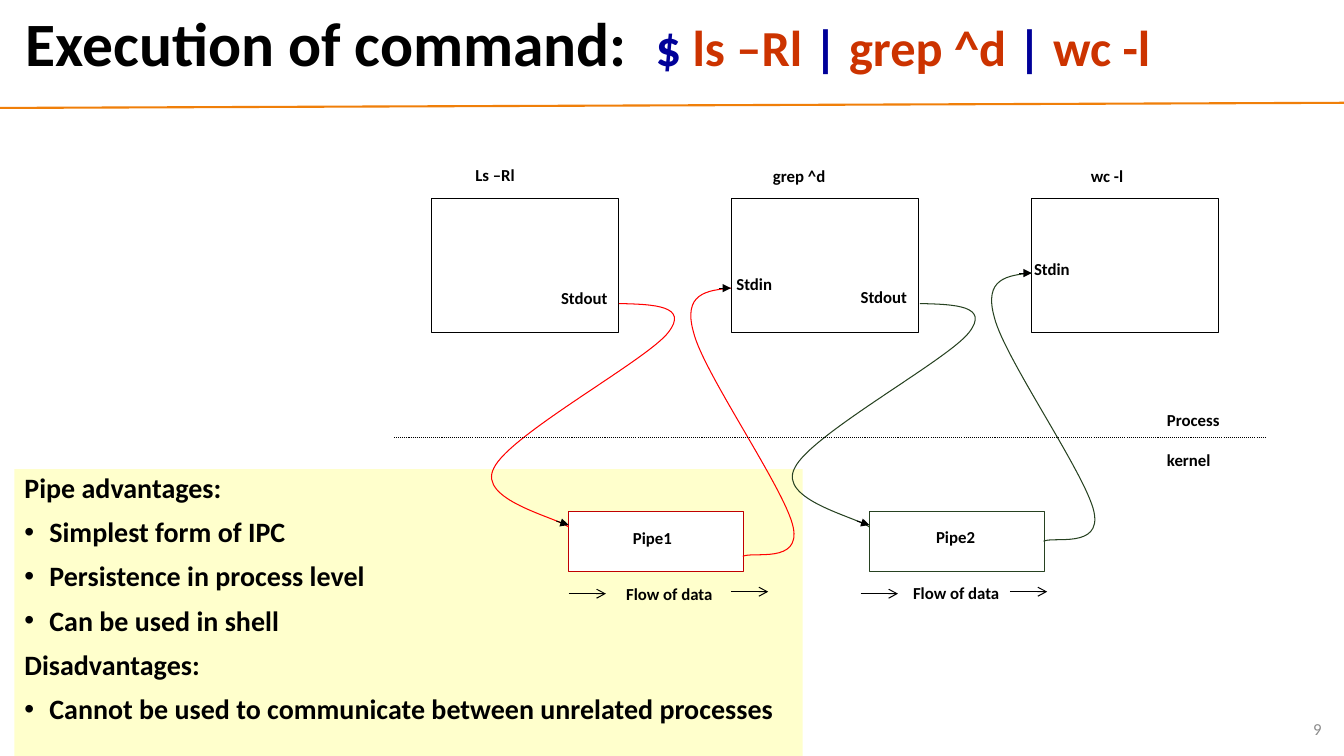
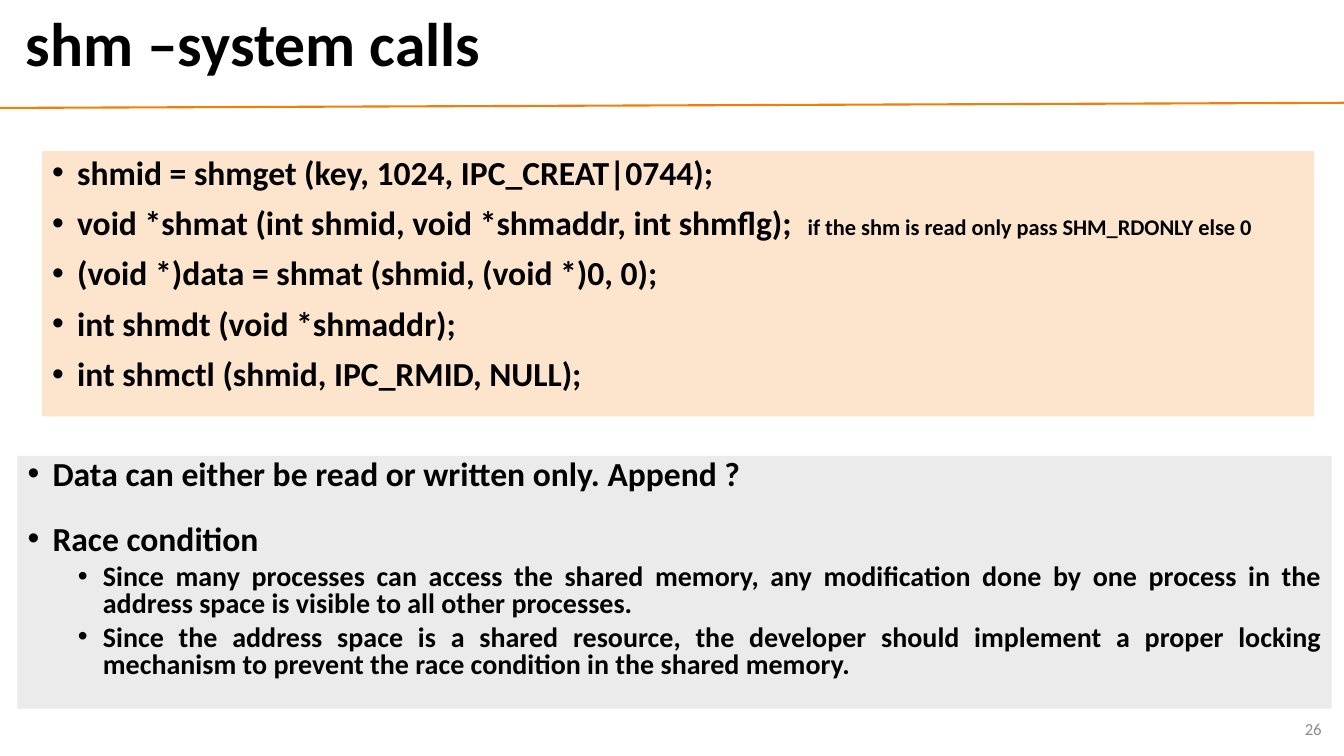
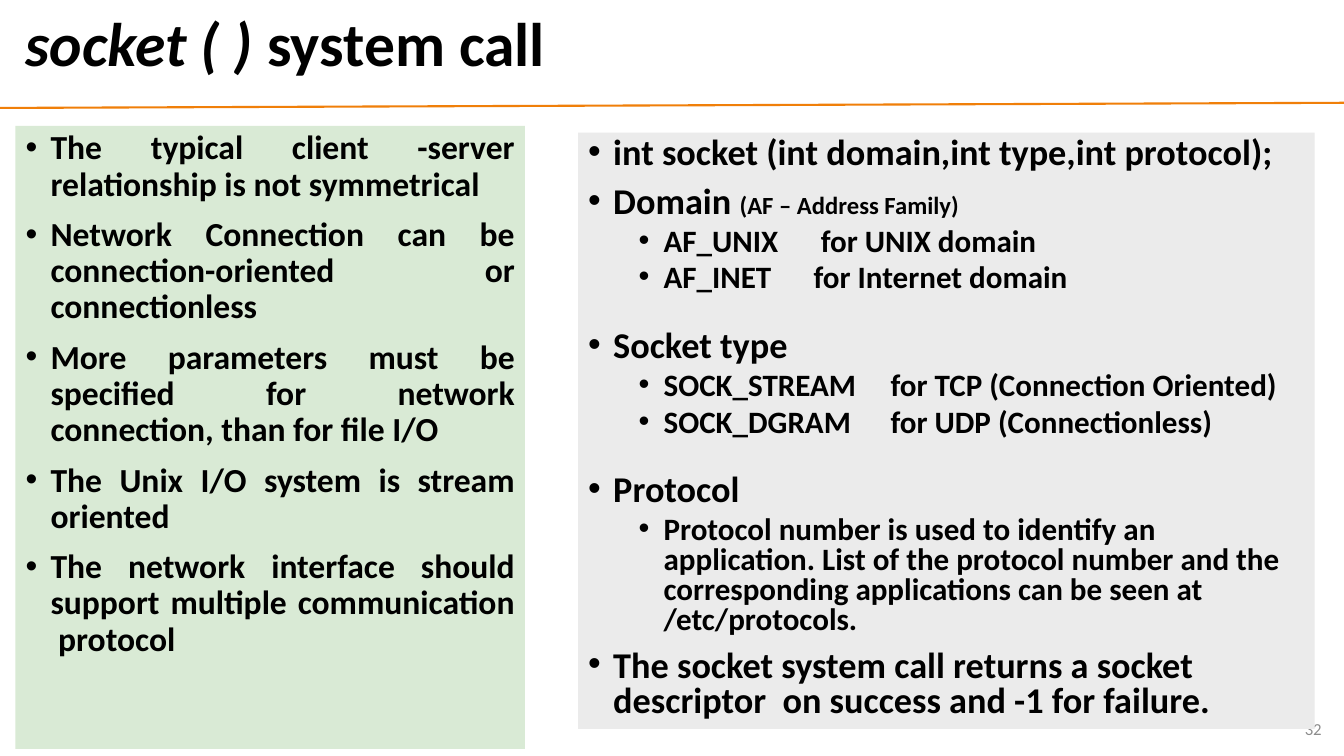
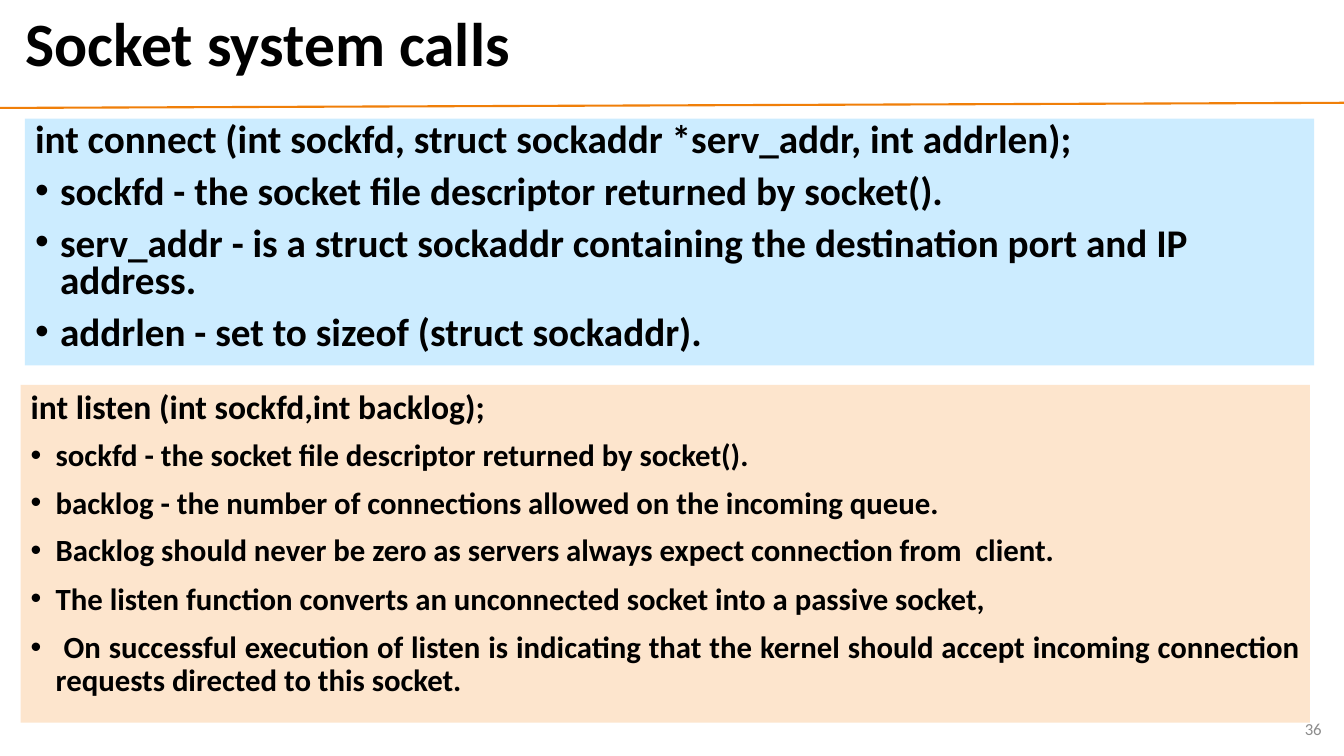
"""Build four slides on pipes, shared memory and socket system calls."""
from lxml import etree
from pptx import Presentation
from pptx.dml.color import RGBColor
from pptx.enum.dml import MSO_LINE
from pptx.enum.shapes import MSO_CONNECTOR, MSO_SHAPE
from pptx.enum.text import MSO_ANCHOR, MSO_AUTO_SIZE, PP_ALIGN
from pptx.oxml.ns import qn
from pptx.util import Cm, Pt

LEFT, RIGHT, JUSTIFY = PP_ALIGN.LEFT, PP_ALIGN.RIGHT, PP_ALIGN.JUSTIFY
MIDDLE, NO_FIT = MSO_ANCHOR.MIDDLE, MSO_AUTO_SIZE.NONE
STRAIGHT, RECTANGLE, DOTTED = MSO_CONNECTOR.STRAIGHT, MSO_SHAPE.RECTANGLE, MSO_LINE.ROUND_DOT

FONT = "Calibri"
COLORS = {
    "black": "000000", "white": "FFFFFF", "grey": "8C8C8C", "orange": "F07F09",
    "navy": "000099", "rust": "CC3300", "red": "FF0000", "dark red": "C00000",
    "dark green": "274221", "yellow panel": "FFFFCC", "peach panel": "FDE5CD",
    "grey panel": "EBEBEB", "green panel": "D9EAD5", "blue panel": "CCECFF",
}
RGB = {name: RGBColor.from_string(value) for name, value in COLORS.items()}
SLIDE_WIDTH, SLIDE_HEIGHT = 33.87, 19.05
TITLE_BOX = (0.39, 0.13, 32.74, 2.11)
PAGE_BOX = (25.94, 17.86, 7.62, 1.02)
INDENT = 0.63
SUB_INDENT = 1.9

ITEM = {"level": 0, "bullet": True, "before": 10, "align": LEFT, "tab": None, "note": None}
HEAD = {"bullet": False}
SUB = {"level": 1, "before": 5}
SUB_20 = {**SUB, "size": 20, "align": JUSTIFY}
SUB_22 = {**SUB, "size": 22.2}
SOCKET_TYPE = {**SUB_22, "tab": 7.62}

SLIDES = [
    {
        "page": "9",
        "title": [
            ("Execution of command:\t", 44, "black", {}),
            ("$ ", 36, "navy", {}), ("ls –Rl", 36, "rust", {}),
            (" | ", 36, "navy", {}), ("grep ^d", 36, "rust", {}),
            (" | ", 36, "navy", {}), ("wc -l", 36, "rust", {}),
        ],
        "panels": [{
            "box": (0.36, 11.82, 19.87, 7.23), "fill": "yellow panel", "spacing": 0.9,
            "style": {"size": 20, "align": JUSTIFY},
            "text": [
                ("Pipe advantages:", HEAD),
                ("Simplest form of IPC", {}),
                ("Persistence in process level", {}),
                ("Can be used in shell", {}),
                ("Disadvantages:", HEAD),
                ("Cannot be used to communicate between unrelated processes", {}),
            ],
        }],
    },
    {
        "page": "26",
        "title": [("shm –system calls", 44, "black", {})],
        "panels": [
            {
                "box": (1.06, 3.81, 32.05, 6.68), "fill": "peach panel", "spacing": 0.9,
                "style": {"size": 24},
                "text": [
                    ("shmid = shmget (key, 1024, IPC_CREAT|0744);", {}),
                    ("void *shmat (int shmid, void *shmaddr, int shmflg);\t",
                     {"tab": 19.04,
                      "note": ("if the shm is read only pass SHM_RDONLY else 0", 16)}),
                    ("(void *)data = shmat (shmid, (void *)0, 0);", {}),
                    ("int shmdt (void *shmaddr);", {}),
                    ("int shmctl (shmid, IPC_RMID, NULL);", {}),
                ],
            },
            {
                "box": (0.44, 11.49, 33.12, 6.37), "fill": "grey panel", "spacing": 0.8,
                "style": {"size": 24, "before": 23.4},
                "text": [
                    ("Data can either be read or written only. Append ?", {}),
                    ("Race condition", {}),
                    ("Since many processes can access the shared memory, any modification "
                     "done by one process in the address space is visible to all other "
                     "processes.", SUB_20),
                    ("Since the address space is a shared resource, the developer should "
                     "implement a proper locking mechanism to prevent the race condition "
                     "in the shared memory.", SUB_20),
                ],
            },
        ],
    },
    {
        "page": "32",
        "title": [("socket ( ) ", 44, "black", {"italic": True}),
                  ("system call", 44, "black", {})],
        "panels": [
            {
                "box": (0.39, 3.17, 12.84, 15.7), "fill": "green panel", "spacing": 0.9,
                "style": {"size": 24, "align": JUSTIFY},
                "text": [
                    ("The typical client -server relationship is not symmetrical", {}),
                    ("Network Connection can be connection-oriented or connectionless", {}),
                    ("More parameters must be specified for network connection, "
                     "than for file I/O", {}),
                    ("The Unix I/O system is stream oriented", {}),
                    ("The network interface should support multiple communication  "
                     "protocol", {}),
                ],
            },
            {
                "box": (14.57, 3.34, 18.56, 15.03), "fill": "grey panel", "spacing": 0.8,
                "style": {"size": 25.9},
                "text": [
                    ("int socket (int domain,int type,int protocol);", {}),
                    ("Domain ", {"note": ("(AF – Address Family)", 17.6)}),
                    ("AF_UNIX\tfor UNIX domain", {**SUB_22, "tab": 5.86}),
                    ("AF_INET\tfor Internet domain", {**SUB_22, "tab": 5.68}),
                    ("Socket type", {"before": 25.6}),
                    ("SOCK_STREAM\tfor TCP (Connection Oriented)", SOCKET_TYPE),
                    ("SOCK_DGRAM\tfor UDP (Connectionless)", SOCKET_TYPE),
                    ("Protocol", {"before": 25.6}),
                    ("Protocol number is used to identify an application. List of the "
                     "protocol number and the corresponding applications can be seen at "
                     "/etc/protocols.", SUB_22),
                    ("The socket system call returns a socket descriptor  on success "
                     "and -1 for failure.", {}),
                ],
            },
        ],
    },
    {
        "page": "36",
        "title": [("Socket system calls", 44, "black", {})],
        "panels": [
            {
                "box": (0.63, 2.99, 32.49, 6.22), "fill": "blue panel", "spacing": 0.8,
                "style": {"size": 28},
                "text": [
                    ("int connect (int sockfd, struct sockaddr *serv_addr, int addrlen);",
                     HEAD),
                    ("sockfd - the socket file descriptor returned by socket().", {}),
                    ("serv_addr - is a struct sockaddr containing the destination port "
                     "and IP address.", {}),
                    ("addrlen - set to sizeof (struct sockaddr).", {}),
                ],
            },
            {
                "box": (0.52, 9.7, 32.49, 8.51), "fill": "peach panel", "spacing": 0.9,
                "style": {"size": 22, "align": JUSTIFY},
                "text": [
                    ("int listen (int sockfd,int backlog);", {**HEAD, "size": 24}),
                    ("sockfd - the socket file descriptor returned by socket().", {}),
                    ("backlog - the number of connections allowed on the incoming queue.",
                     {}),
                    ("Backlog should never be zero as servers always expect connection "
                     "from  client.", {}),
                    ("The listen function converts an unconnected socket into a passive "
                     "socket,", {"before": 11}),
                    (" On successful execution of listen is indicating that the kernel "
                     "should accept incoming connection requests directed to this socket.",
                     {"before": 11}),
                ],
            },
        ],
    },
]


def write_run(paragraph, text, size, color="black", **extra):
    run = paragraph.add_run()
    run.text = text
    run.font.color.rgb = RGB[color]
    for name, value in {"name": FONT, "size": Pt(size), "bold": True, **extra}.items():
        setattr(run.font, name, value)


def draw_line(slide, start, end, color="black", width=0.75, head=None, dash=None):
    line = slide.shapes.add_connector(STRAIGHT, *map(Cm, start + end))
    line.line.color.rgb = RGB[color]
    line.line.width = Pt(width)
    if dash:
        line.line.dash_style = dash
    properties = line._element.spPr
    if head:
        etree.SubElement(properties.find(qn("a:ln")), qn("a:tailEnd"), type=head)
    etree.SubElement(properties, qn("a:effectLst"))
    return line


prs = Presentation()
prs.slide_width, prs.slide_height = Cm(SLIDE_WIDTH), Cm(SLIDE_HEIGHT)

for content in SLIDES:
    panels = content["panels"]
    slide = prs.slides.add_slide(prs.slide_layouts[1 if len(panels) == 1 else 3])

    page = slide.shapes.add_textbox(*map(Cm, PAGE_BOX))
    page.text_frame.word_wrap = True
    page.text_frame.vertical_anchor = MIDDLE
    page.text_frame.paragraphs[0].alignment = RIGHT
    write_run(page.text_frame.paragraphs[0], content["page"], 12, "grey", bold=False)
    slide.shapes.element.insert(2, page._element)

    boxes = [TITLE_BOX] + [panel["box"] for panel in panels]
    for holder, box in zip(slide.placeholders, boxes):
        for side, length in zip(("left", "top", "width", "height"), box):
            setattr(holder, side, Cm(length))
        holder.text_frame.auto_size = NO_FIT

    title = slide.shapes.title.text_frame
    title.vertical_anchor = MIDDLE
    heading = title.paragraphs[0]
    if len(content["title"]) > 2:
        stops = etree.SubElement(heading._p.get_or_add_pPr(), qn("a:tabLst"))
        etree.SubElement(stops, qn("a:tab"), pos=str(Cm(15.88)), algn="l")
    heading.alignment, heading.line_spacing = LEFT, 0.9
    for text, size, color, extra in content["title"]:
        write_run(heading, text, size, color, **extra)

    for holder, panel in zip(list(slide.placeholders)[1:], panels):
        holder.fill.solid()
        holder.fill.fore_color.rgb = RGB[panel["fill"]]
        frame = holder.text_frame
        for index, (text, changes) in enumerate(panel["text"]):
            style = {**ITEM, **panel["style"], **changes}
            paragraph = frame.add_paragraph() if index else frame.paragraphs[0]
            paragraph.level = style["level"]
            properties = paragraph._p.get_or_add_pPr()
            properties.set("marL", str(Cm(SUB_INDENT if style["level"] else INDENT)))
            properties.set("indent", str(-Cm(INDENT)))
            if style["bullet"]:
                etree.SubElement(properties, qn("a:buChar"), char="•")
            else:
                etree.SubElement(properties, qn("a:buNone"))
            if style["tab"]:
                stops = etree.SubElement(properties, qn("a:tabLst"))
                etree.SubElement(stops, qn("a:tab"), pos=str(Cm(style["tab"])), algn="l")
            paragraph.alignment = style["align"]
            paragraph.line_spacing = panel["spacing"]
            paragraph.space_before = Pt(style["before"] if index else 0)
            write_run(paragraph, text, style["size"])
            if style["note"]:
                write_run(paragraph, *style["note"])

pipeline = prs.slides[0]
title_rule = draw_line(pipeline, (0, 2.72), (SLIDE_WIDTH, 2.59), "orange", 1.5)
prs.slide_master.shapes.element.append(title_rule._element)

PROCESS_STEP, PIPE_STEP = 7.56, 7.58
BOXES = [(10.87 + PROCESS_STEP * i, 5, 4.72, 3.38, "black") for i in range(3)]
BOXES += [(14.33 + PIPE_STEP * i, 12.9, 4.41, 1.5, color)
          for i, color in enumerate(("dark red", "dark green"))]
for *box, color in BOXES:
    block = pipeline.shapes.add_shape(RECTANGLE, *map(Cm, box))
    block.shadow.inherit = False
    block.fill.solid()
    block.fill.fore_color.rgb = RGB["white"]
    block.line.color.rgb = RGB[color]
    block.line.width = Pt(0.75)

WRITE_CURVE = [(15.6, 7.65), (16.48, 7.67), (17.37, 7.7), (16.84, 8.38),
               (16.31, 9.07), (12.85, 10.95), (12.45, 11.79),
               (12.01, 12.6), (14.02, 13.03), (14.33, 13.28)]
READ_CURVE = [(18.42, 7.26), (17.81, 7.32), (17.2, 7.39), (17.48, 8.38),
              (17.73, 9.4), (19.79, 12.34), (19.99, 13.28),
              (20.19, 14.22), (18.95, 13.89), (18.72, 14.02)]
for i, color in enumerate(("red", "dark green")):
    shift, lift = PIPE_STEP * i, 0.38 * i
    for curve, rise in ((WRITE_CURVE, 0), (READ_CURVE, lift)):
        points = [(Cm(x + shift), Cm(y - rise)) for x, y in curve]
        builder = pipeline.shapes.build_freeform(*points[0])
        builder.add_line_segments(points[1:], close=False)
        wire = builder.convert_to_shape()
        outline = next(wire._element.iter(qn("a:path")))
        segments = outline.findall(qn("a:lnTo"))
        for first in range(0, len(segments), 3):
            bend = etree.SubElement(outline, qn("a:cubicBezTo"))
            for segment in segments[first:first + 3]:
                bend.append(segment[0])
                outline.remove(segment)
        wire.shadow.inherit = False
        wire.fill.background()
        wire.line.color.rgb = RGB[color]
        wire.line.width = Pt(0.75)
    draw_line(pipeline, (14.02 + shift, 13.13), (14.33 + shift, 13.23), head="triangle")
    draw_line(pipeline, (18.11 + shift, 7.26 - lift), (18.42 + shift, 7.26 - lift),
              head="triangle")

draw_line(pipeline, (9.93, 11.02), (31.92, 11.02), dash=DOTTED)
for x, y in ((14.33, 14.96), (18.42, 14.91), (21.69, 14.96), (25.45, 14.91)):
    draw_line(pipeline, (x, y), (x + 0.94, y), head="arrow")

LABELS = [
    ("Ls –Rl", 11.73, 4.03), ("grep ^d", 19.23, 4.06), ("wc -l", 27.24, 4.06),
    ("Stdout", 13.89, 7.13), ("Stdout", 21.44, 7.11),
    ("Stdin", 18.31, 6.78), ("Stdin", 25.81, 6.4),
    ("Pipe1", 15.7, 13.18), ("Pipe2", 23.34, 13.14),
    ("Flow of data", 15.53, 14.58), ("Flow of data", 22.76, 14.55),
    ("Process", 29.16, 10.19), ("kernel", 29.16, 11.2),
]
for text, x, y in LABELS:
    label = pipeline.shapes.add_textbox(Cm(x), Cm(y), Cm(3), Cm(0.8))
    label.text_frame.word_wrap = True
    write_run(label.text_frame.paragraphs[0], text, 12)

prs.save("out.pptx")
